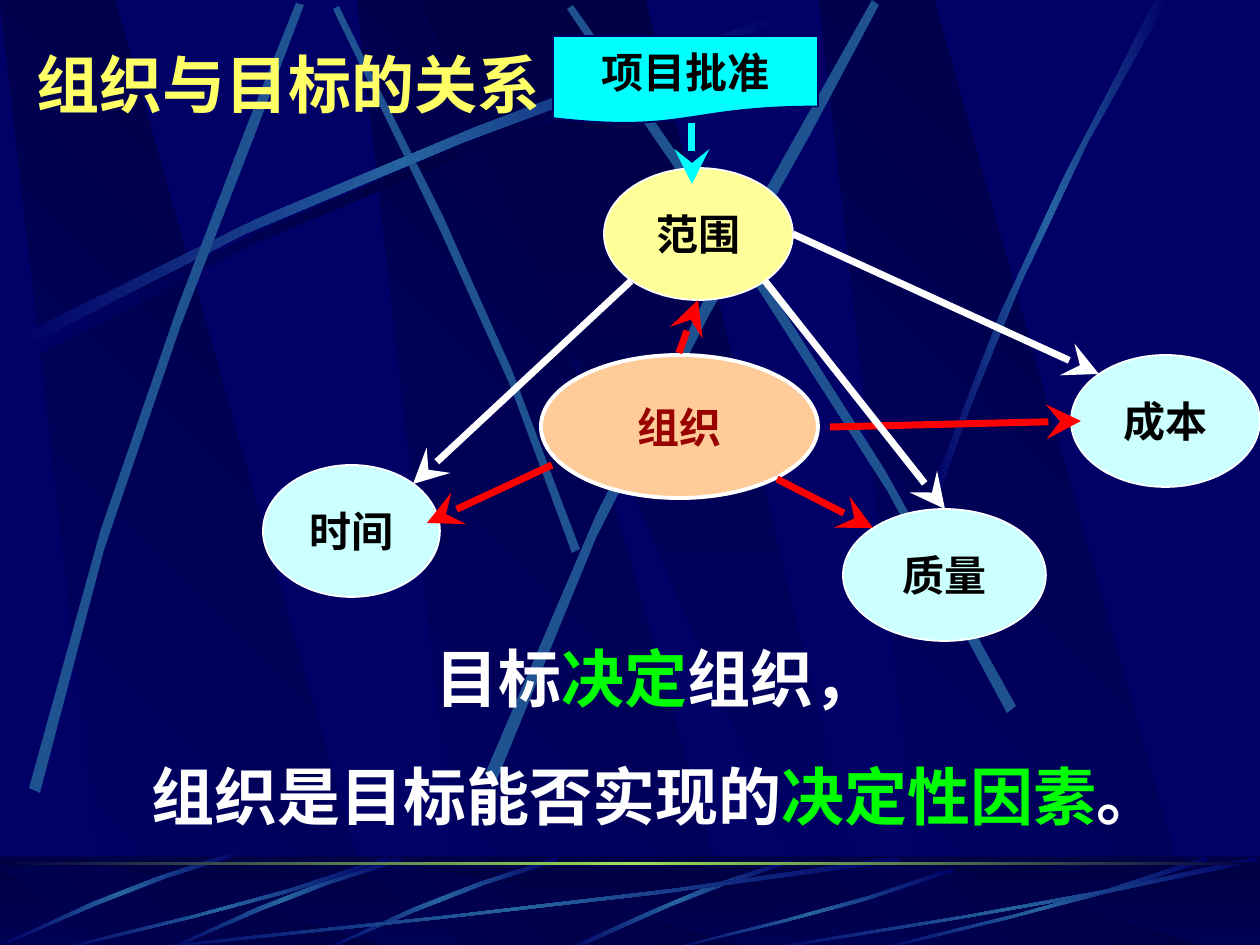
from lxml.etree import SubElement
from pptx import Presentation
from pptx.dml.color import RGBColor
from pptx.enum.shapes import MSO_CONNECTOR, MSO_SHAPE
from pptx.enum.text import MSO_ANCHOR, PP_ALIGN
from pptx.oxml import parse_xml
from pptx.oxml.ns import nsdecls, qn
from pptx.util import Pt

PX = 7257.6  # EMU per px, 126 px to the inch
COLORS = {
    "navy": "000066", "deep": "000044", "beam": "2663A0", "streak": "1F5290",
    "glow": "9CE157", "title": "FFFF66", "cyan": "00FFFF", "yellow": "FFFF99",
    "ice": "CCFFFF", "peach": "FFCC99", "maroon": "990000", "red": "FF0000",
    "green": "00FF00", "white": "FFFFFF", "black": "000000",
}
FADE = (("navy", "beam", "navy"), 0)
SHADE = (("navy", "deep", "navy"), 0)
DIAGONAL = (("navy", "deep"), 315)
DOWN = (("deep", "navy"), 90)


def emu(px):
    return round(px * PX)


def rgb(name):
    return RGBColor.from_string(COLORS[name])


def shift(points, dx, dy=0):
    return [(x + dx, y + dy) for x, y in points]


def bezier(a, b, c, d, steps=4):
    """Points along the cubic curve from a to d."""
    points = []
    for i in range(steps + 1):
        t = i / steps
        weights = ((1 - t) ** 3, 3 * t * (1 - t) ** 2, 3 * t * t * (1 - t), t ** 3)
        points.append(tuple(sum(w * p[k] for w, p in zip(weights, (a, b, c, d)))
                            for k in (0, 1)))
    return points


class Slide:
    def __init__(self, prs, font="Times New Roman"):
        self.s = prs.slides.add_slide(prs.slide_layouts[6])
        self.font = font
        bg = self.s.background.fill
        bg.solid()
        bg.fore_color.rgb = rgb("navy")

    def paint(self, sp, fill, line=None, width=1):
        """Fill is a colour name, or (colour names, angle) for a gradient."""
        sp.shadow.inherit = False
        if isinstance(fill, str):
            sp.fill.solid()
            sp.fill.fore_color.rgb = rgb(fill)
        else:
            names, angle = fill
            stops = "".join(
                f'<a:gs pos="{100000 * i // (len(names) - 1)}">'
                f'<a:srgbClr val="{COLORS[n]}"/></a:gs>' for i, n in enumerate(names))
            sp.fill.background()
            spPr = sp._element.spPr
            spPr.replace(spPr.find(qn("a:noFill")), parse_xml(
                f'<a:gradFill {nsdecls("a")} rotWithShape="1"><a:gsLst>{stops}</a:gsLst>'
                f'<a:lin ang="{angle * 60000}" scaled="0"/></a:gradFill>'))
        if line:
            sp.line.color.rgb = rgb(line)
            sp.line.width = Pt(width)
        else:
            sp.line.fill.background()

    def style(self, p, size, color, font=None):
        p.alignment = PP_ALIGN.CENTER
        p.font.size, p.font.bold, p.font.name = Pt(size), True, font or self.font
        p.font.color.rgb = rgb(color)

    def shape(self, kind, box, fill, line=None, width=1):
        sp = self.s.shapes.add_shape(kind, *map(emu, box))
        self.paint(sp, fill, line, width)
        return sp

    def node(self, kind, box, text, fill, line="white", width=1, color="black"):
        tf = self.shape(kind, box, fill, line, width).text_frame
        tf.word_wrap = False
        tf.vertical_anchor = MSO_ANCHOR.MIDDLE
        tf.text = text
        self.style(tf.paragraphs[0], 24, color)

    def polygon(self, points, fill):
        builder = self.s.shapes.build_freeform(*points[0], scale=PX)
        builder.add_line_segments(points[1:], close=True)
        self.paint(builder.convert_to_shape(), fill)

    def streak(self, points, fill):
        """A thin blade: one curve out (four points), one curve back."""
        self.polygon(bezier(*points[:4]) + bezier(*points[4:]), fill)

    def arrow(self, x1, y1, x2, y2, color):
        c = self.s.shapes.add_connector(MSO_CONNECTOR.STRAIGHT, *map(emu, (x1, y1, x2, y2)))
        c.line.color.rgb = rgb(color)
        c.line.width = Pt(4)
        SubElement(c.line._get_or_add_ln(), qn("a:tailEnd"), type="stealth", w="lg", len="lg")
        SubElement(c._element.spPr, qn("a:effectLst"))

    def text_frame(self, box):
        tf = self.s.shapes.add_textbox(*map(emu, box)).text_frame
        tf.word_wrap = True
        return tf

    def title(self, box, text):
        tf = self.text_frame(box)
        tf.vertical_anchor = MSO_ANCHOR.MIDDLE
        tf.text = text
        self.style(tf.paragraphs[0], 36, "title", "Montserrat")

    def statement(self, box, lines):
        """Lines are lists of (text, colour) runs."""
        tf = self.text_frame(box)
        for i, runs in enumerate(lines):
            p = tf.add_paragraph() if i else tf.paragraphs[0]
            self.style(p, 36, "white")
            p.line_spacing, p.space_before = 1.04, Pt(22.5)
            for text, color in runs:
                r = p.add_run()
                r.text = text
                r.font.color.rgb = rgb(color)


def draw_shafts(slide, top, bottom):
    for dx in (357, 0, 819):
        slide.polygon(shift([(108, bottom), (381, bottom), (115, top), (0, top)], dx), DIAGONAL)
    slide.polygon([(420, top), (829, bottom), (874, bottom), (646, top)], DOWN)


def draw_backdrop(slide):
    draw_shafts(slide, 0, 945)
    long_streak = [(18, 336), (350, 158), (653, 64), (781, 13),
                   (785, 20), (658, 77), (312, 180), (21, 349)]
    slide.streak(shift(long_streak, 8, 10), SHADE)
    streaks = [
        ([(580, 549), (493, 295), (381, 97), (339, 6),
          (333, 9), (372, 100), (501, 325), (572, 553)], "streak"),
        (long_streak, FADE),
        ([(29, 788), (117, 421), (248, 132), (296, 3),
          (304, 5), (261, 136), (108, 464), (40, 793)], "streak"),
        ([(485, 774), (627, 403), (804, 129), (872, 0),
          (879, 5), (818, 136), (612, 447), (496, 782)], "streak"),
        ([(1016, 706), (844, 369), (650, 120), (573, 5),
          (567, 9), (639, 127), (863, 410), (1007, 713)], "streak"),
        ([(930, 495), (1026, 218), (1119, 83), (1155, 0),
          (1168, 0), (1053, 183), (969, 406), (937, 500)], FADE),
    ]
    for points, fill in streaks:
        slide.streak(points, fill)


def draw_footer(slide):
    slide.shape(MSO_SHAPE.RECTANGLE, (0, 857, 1260, 88), DOWN)
    draw_shafts(slide, 867, 945)
    veil = slide.shape(MSO_SHAPE.RECTANGLE, (0, 856, 1260, 89), "deep")
    SubElement(veil._element.spPr.find(".//" + qn("a:srgbClr")), qn("a:alpha"), val="50000")
    slide.streak([(790, 859), (677, 893), (601, 935), (564, 950),
                  (571, 951), (617, 929), (719, 882), (791, 863)], FADE)
    short_streak = [(557, 857), (447, 888), (362, 932), (323, 949),
                    (324, 951), (363, 936), (460, 886), (559, 861)]
    for dx, dy in ((0, 0), (-157, 0), (-320, -6)):
        slide.streak(shift(short_streak, dx, dy), FADE)
    sweep = [(1, .04), (.57, .57), (.17, .85), (.01, 1),
             (0, .99), (.17, .81), (.62, .5), (.99, 0)]
    for x, y, w, h in ((126, 857, 777, 94), (53, 857, 336, 94), (664, 868, 291, 83),
                       (872, 857, 336, 94), (756, 857, 504, 94)):
        slide.streak([(x + w * u, y + h * v) for u, v in sweep], FADE)
    slide.shape(MSO_SHAPE.RECTANGLE, (0, 862, 1260, 3), (("deep", "glow", "deep"), 0))


def draw_diagram(slide):
    slide.node(MSO_SHAPE.FLOWCHART_DOCUMENT, (553, 36, 265, 88), "项目批准", "cyan", "navy")
    for x, y, w, text, fill in ((604, 168, 189, "范围", "yellow"), (1071, 355, 189, "成本", "ice"),
                                (263, 465, 177, "时间", "ice"), (843, 509, 203, "质量", "ice")):
        slide.node(MSO_SHAPE.OVAL, (x, y, w, 132), text, fill)
    slide.node(MSO_SHAPE.OVAL, (541, 355, 277, 143), "组织", "peach", width=2.25, color="maroon")
    for arrow in ((631, 281, 413, 484, "white"), (552, 465, 427, 523, "red"),
                  (793, 234, 1099, 374, "white"), (830, 427, 1081, 421, "red"),
                  (679, 353, 698, 300, "red"), (692, 123, 692, 184, "cyan"),
                  (765, 281, 945, 509, "white"), (777, 479, 873, 528, "red")):
        slide.arrow(*arrow)


def main():
    prs = Presentation()
    prs.slide_width, prs.slide_height = emu(1260), emu(945)
    slide = Slide(prs)
    draw_backdrop(slide)
    draw_footer(slide)
    slide.title((0, 39, 577, 88), "组织与目标的关系")
    draw_diagram(slide)
    slide.statement((106, 630, 1100, 209), [
        [("目标", "white"), ("决定", "green"), ("组织，", "white")],
        [("组织是目标能否实现的", "white"), ("决定性因素", "green"), ("。", "white")],
    ])
    prs.save("out.pptx")


if __name__ == "__main__":
    main()
